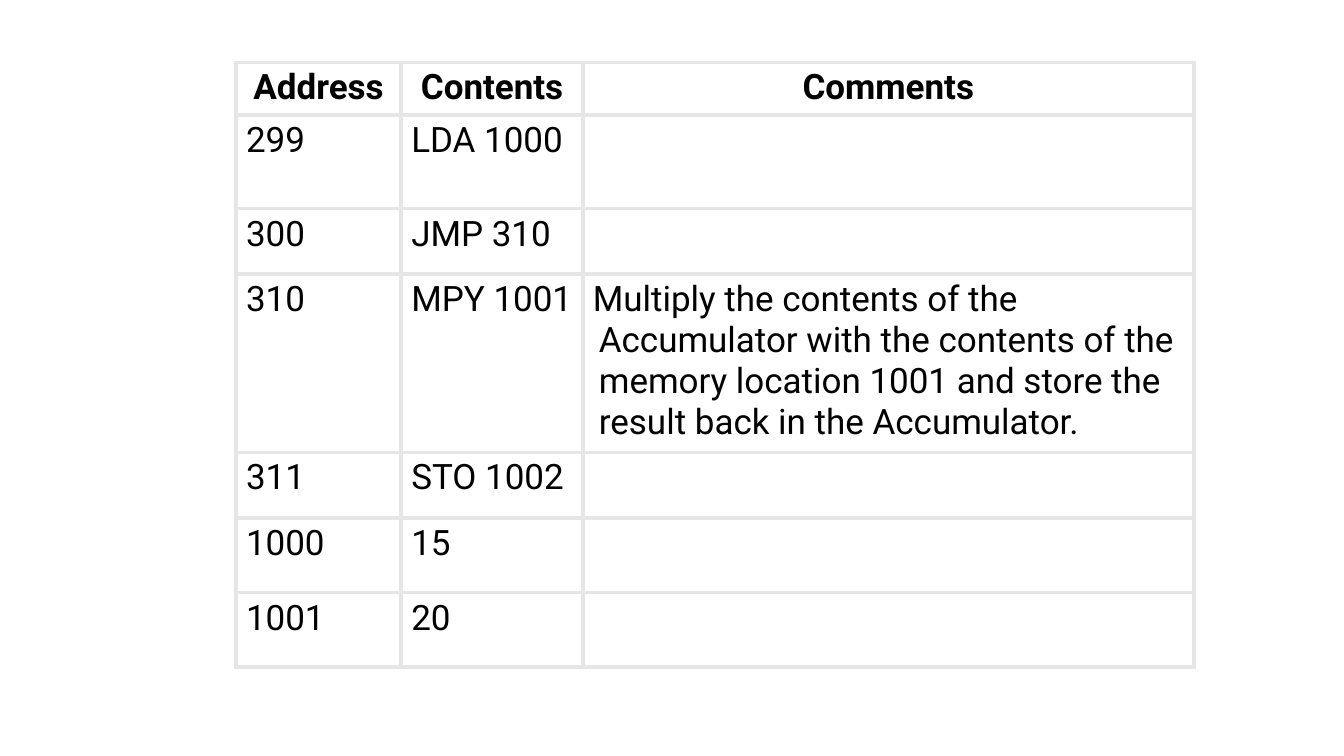
from dataclasses import dataclass

from lxml import etree
from pptx import Presentation
from pptx.dml.color import RGBColor
from pptx.enum.text import PP_ALIGN
from pptx.oxml.ns import qn
from pptx.table import _Cell
from pptx.util import Inches, Pt

LEFT, CENTER = PP_ALIGN.LEFT, PP_ALIGN.CENTER
BLACK = RGBColor(0x00, 0x00, 0x00)
GRAY = RGBColor(0xE7, 0xE6, 0xE6)
FONT = "Roboto"
SIZE = Pt(25)
EDGE = Pt(3)
WIDTHS = (1.64, 1.8, 6.06)


@dataclass
class Row:
    height: float
    address: str
    contents: str
    comment: str = ""
    head: bool = False


ROWS = (
    Row(0.52, "Address", "Contents", "Comments", head=True),
    Row(0.93, "299", "LDA 1000"),
    Row(0.65, "300", "JMP 310"),
    Row(1.77, "310", "MPY 1001",
        "Multiply the contents of the Accumulator with the contents of the "
        "memory location 1001 and store the result back in the Accumulator."),
    Row(0.65, "311", "STO 1002"),
    Row(0.74, "1000", "15"),
    Row(0.74, "1001", "20"),
)


def frame(cell: _Cell) -> None:
    """Clear the fill and draw all four borders."""
    cell.fill.background()
    props = cell._tc.get_or_add_tcPr()
    for spot, side in enumerate(("lnL", "lnR", "lnT", "lnB")):
        line = etree.Element(qn(f"a:{side}"), w=str(EDGE))
        fill = etree.SubElement(line, qn("a:solidFill"))
        etree.SubElement(fill, qn("a:srgbClr"), val=str(GRAY))
        props.insert(spot, line)


def write(cell: _Cell, text: str, head: bool, hang: float) -> None:
    para = cell.text_frame.paragraphs[0]
    para.alignment = CENTER if head else LEFT
    props = para._p.get_or_add_pPr()
    props.set("marL", str(Inches(hang)))
    props.set("indent", str(-Inches(hang)))
    run = para.add_run()
    run.text = text
    run.font.name = FONT
    run.font.size = SIZE
    run.font.bold = head
    run.font.color.rgb = BLACK


def main() -> None:
    deck = Presentation()
    deck.slide_width, deck.slide_height = Inches(13.33), Inches(7.5)
    slide = deck.slides.add_slide(deck.slide_layouts[6])
    tall = sum(row.height for row in ROWS)
    table = slide.shapes.add_table(
        len(ROWS), len(WIDTHS), Inches(2.34), Inches(0.62),
        Inches(sum(WIDTHS)), Inches(tall)).table
    table.first_row = table.horz_banding = False
    for col, width in zip(table.columns, WIDTHS):
        col.width = Inches(width)
    for r, row in enumerate(ROWS):
        table.rows[r].height = Inches(row.height)
        for c, text in enumerate((row.address, row.contents, row.comment)):
            cell = table.cell(r, c)
            frame(cell)
            if text:
                prose = c == 2 and not row.head
                write(cell, text, row.head, 0.06 if prose else 0.38)
    deck.save("out.pptx")


if __name__ == "__main__":
    main()
